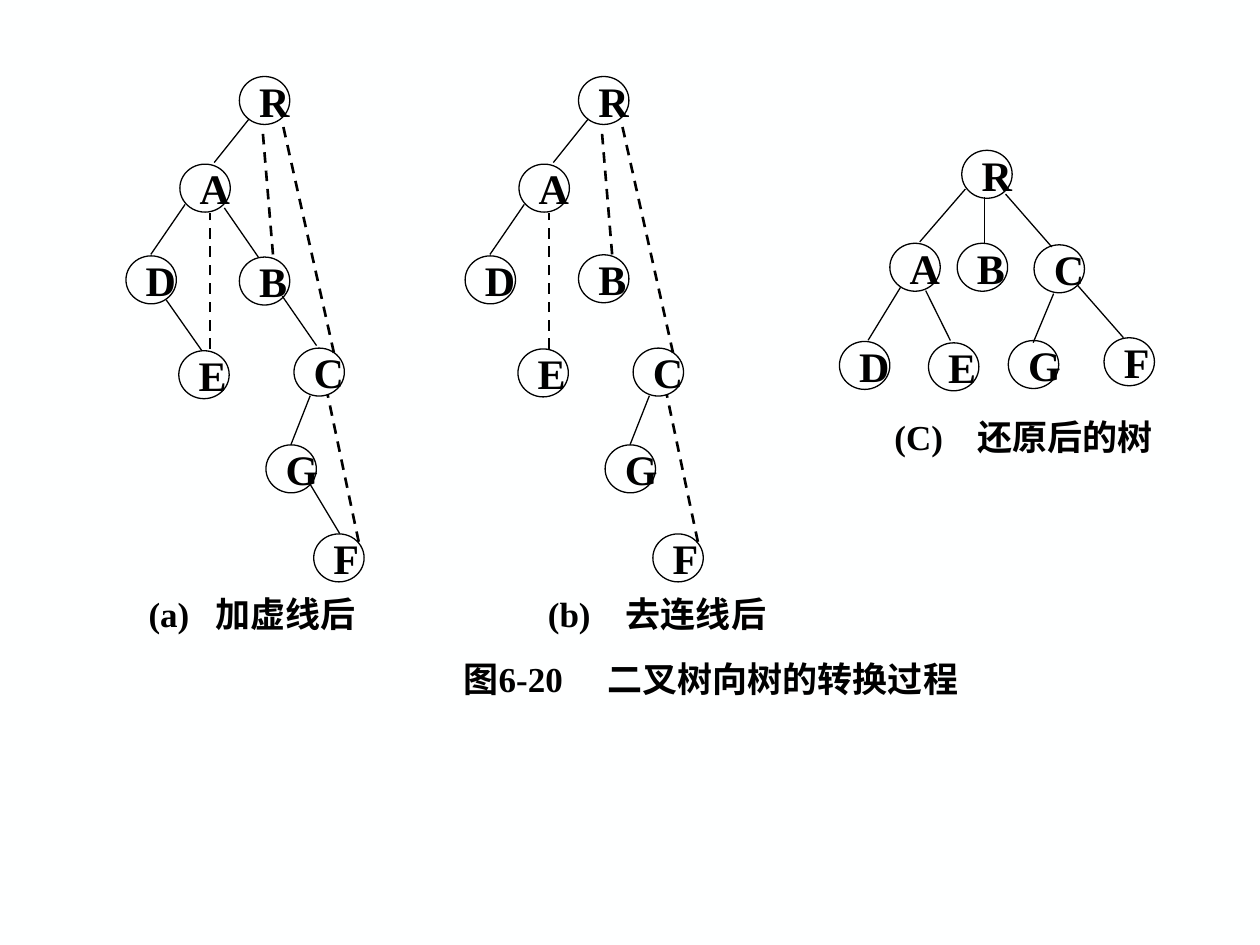
import lxml.etree
import pptx
import pptx.dml.color
import pptx.enum.dml
import pptx.enum.shapes
import pptx.enum.text
import pptx.oxml.ns
import pptx.util

Pt = pptx.util.Pt
FONT = "Times New Roman"
BLACK = "000000"
NODE_WIDTH, NODE_HEIGHT = 28.8, 27.4
PANEL_SHIFT = 193.8  # from panel (a) to panel (b)

# Left and top of each node, in points
BINARY_NODES = {
    "R": (136.8, 43.7), "A": (102.8, 93.8), "D": (72, 146.2), "B": (136.8, 146.9),
    "E": (102.2, 200.4), "C": (168, 198.9), "G": (152, 254.2), "F": (179.3, 305.1),
}
SEPARATED_NODES = {**BINARY_NODES, "B": (136.8, 145.6), "E": (102.2, 199.4)}
TREE_NODES = {
    "R": (549.6, 85.9), "A": (508.5, 139), "B": (547, 139), "C": (590.9, 139.9),
    "D": (479.7, 195.1), "E": (530.6, 195.9), "G": (576.2, 194.6), "F": (630.9, 193),
}

# Start x, start y, end x, end y of each edge, in points
LEFT_EDGES = [
    (142.4, 67.9, 122.4, 92.9),      # R-A
    (105.8, 116.8, 86.2, 145.4),     # A-D
    (177.3, 226.1, 166.3, 254),      # C-G
]
RIGHT_EDGES = [
    (128.2, 118.8, 147.6, 146.9),    # A-B
    (161.3, 169.2, 180.9, 197.5),    # B-C
    (95, 171.4, 115.2, 200.2),       # D-E
    (177.1, 276.5, 194.2, 305),      # G-F
]
ADDED_EDGES = [
    (156, 145.4, 150, 73.4),         # B-R
    (190.8, 201.6, 161.3, 69.8),     # C-R
    (120, 199.4, 120, 121.7),        # E-A
    (205, 309.6, 187.2, 225.4),      # F-C
]
TREE_EDGES = [
    (551.7, 108, 525.6, 138.2),      # R-A
    (562.6, 112.5, 562.6, 139),      # R-B
    (574.6, 110.9, 601, 141.1),      # R-C
    (514.6, 164.2, 496.1, 194.4),    # A-D
    (529, 166.1, 543.1, 194.6),      # A-E
    (602.1, 167.8, 590.4, 195.8),    # C-G
    (615.6, 162.9, 642, 193),        # C-F
]

# Label, wording, tab stop, and left, top, width, height
CAPTIONS = [
    ("(a)", "加虚线后", 38, (77.8, 337.7, 142, 25.2)),
    ("(b)", "去连线后", 44.6, (306, 337.7, 150, 25.2)),
    ("(C)", "还原后的树", 47.4, (504, 235.4, 172, 28.1)),
    ("图6-20", "二叉树向树的转换过程", 82.3, (257.8, 373.7, 310, 28.1)),
]


def color(value):
    return pptx.dml.color.RGBColor.from_string(value)


def write_text(shape, text, size):
    frame = shape.text_frame
    frame.word_wrap = False
    frame.vertical_anchor = pptx.enum.text.MSO_ANCHOR.MIDDLE
    paragraph = frame.paragraphs[0]
    paragraph.text = text
    paragraph.alignment = pptx.enum.text.PP_ALIGN.LEFT
    paragraph.font.name = FONT
    paragraph.font.size = Pt(size)
    paragraph.font.bold = True
    paragraph.font.color.rgb = color(BLACK)
    return paragraph


def add_node(slide, letter, left, top):
    node = slide.shapes.add_shape(
        pptx.enum.shapes.MSO_SHAPE.OVAL,
        Pt(left), Pt(top), Pt(NODE_WIDTH), Pt(NODE_HEIGHT))
    node.shadow.inherit = False
    node.fill.background()
    node.line.color.rgb = color(BLACK)
    node.line.width = Pt(0.75)
    write_text(node, letter, 24)


def add_edge(slide, points, dashed):
    edge = slide.shapes.add_connector(
        pptx.enum.shapes.MSO_CONNECTOR.STRAIGHT, *(Pt(value) for value in points))
    edge.line.color.rgb = color(BLACK)
    edge.line.width = Pt(1.5 if dashed else 0.75)
    if dashed:
        edge.line.dash_style = pptx.enum.dml.MSO_LINE.DASH
    properties = edge.element.spPr
    lxml.etree.SubElement(properties, pptx.oxml.ns.qn("a:effectLst"))


def add_graph(slide, nodes, edges, dashed_edges=(), shift=0):
    for letter, (left, top) in nodes.items():
        add_node(slide, letter, left + shift, top)
    for group, dashed in ((edges, False), (dashed_edges, True)):
        for x1, y1, x2, y2 in group:
            add_edge(slide, (x1 + shift, y1, x2 + shift, y2), dashed)


def add_caption(slide, label, wording, tab_position, box):
    caption = slide.shapes.add_textbox(*(Pt(value) for value in box))
    paragraph = write_text(caption, f"{label}\t{wording}", 20)
    # The tab stop sets the gap between label and wording
    properties = paragraph._p.get_or_add_pPr()
    tabs = lxml.etree.Element(pptx.oxml.ns.qn("a:tabLst"))
    lxml.etree.SubElement(tabs, pptx.oxml.ns.qn("a:tab"),
                          pos=str(int(Pt(tab_position))), algn="l")
    properties.insert(0, tabs)


def main():
    presentation = pptx.Presentation()
    presentation.slide_width, presentation.slide_height = Pt(720), Pt(540)
    slide = presentation.slides.add_slide(presentation.slide_layouts[6])
    slide.background.fill.solid()
    slide.background.fill.fore_color.rgb = color("FEFFFF")

    # Binary tree with added links, links removed, restored tree
    add_graph(slide, BINARY_NODES, LEFT_EDGES + RIGHT_EDGES, ADDED_EDGES)
    add_graph(slide, SEPARATED_NODES, LEFT_EDGES, ADDED_EDGES, PANEL_SHIFT)
    add_graph(slide, TREE_NODES, TREE_EDGES)

    # Panel and figure captions
    for caption in CAPTIONS:
        add_caption(slide, *caption)

    presentation.save("out.pptx")


if __name__ == "__main__":
    main()
